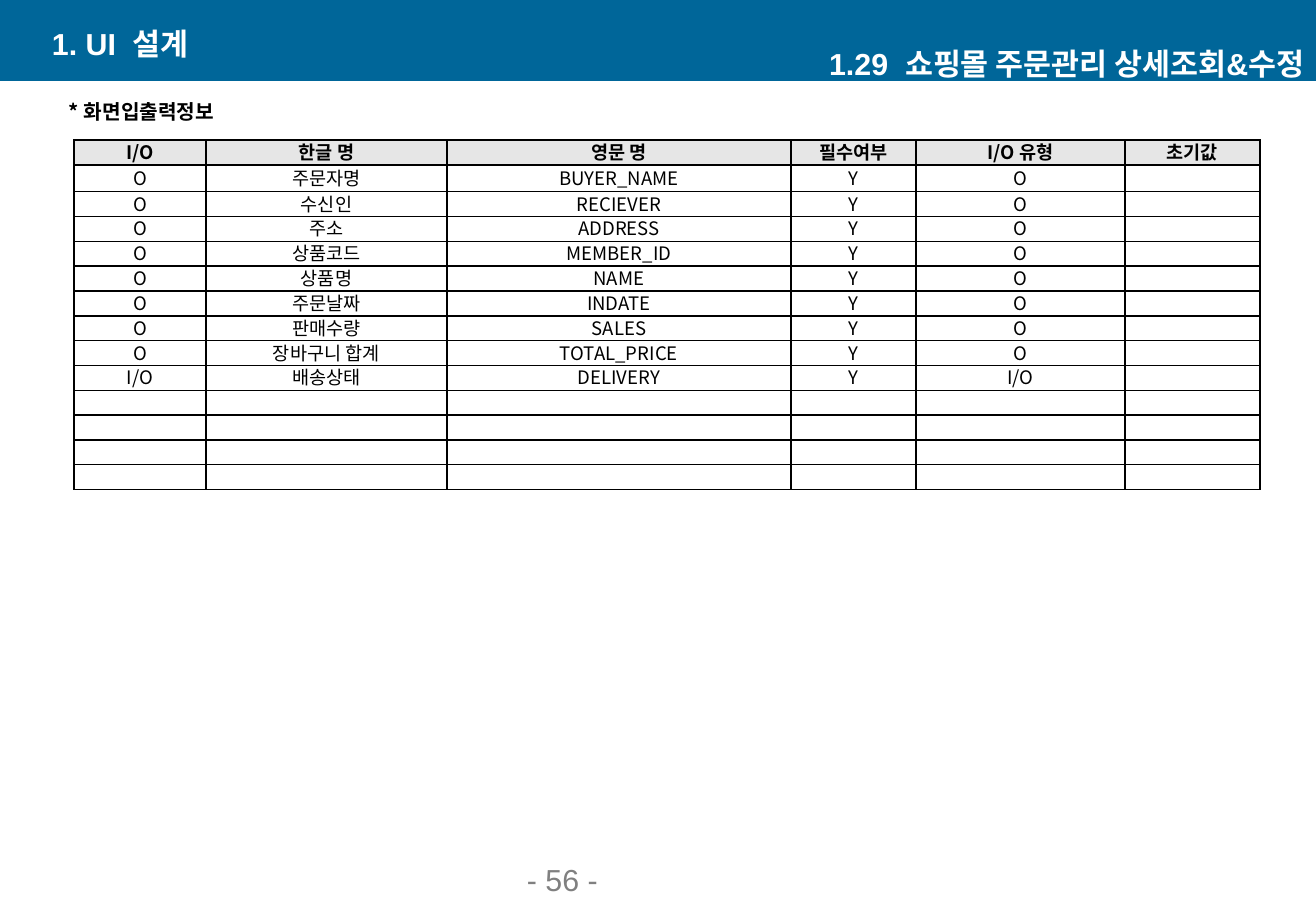
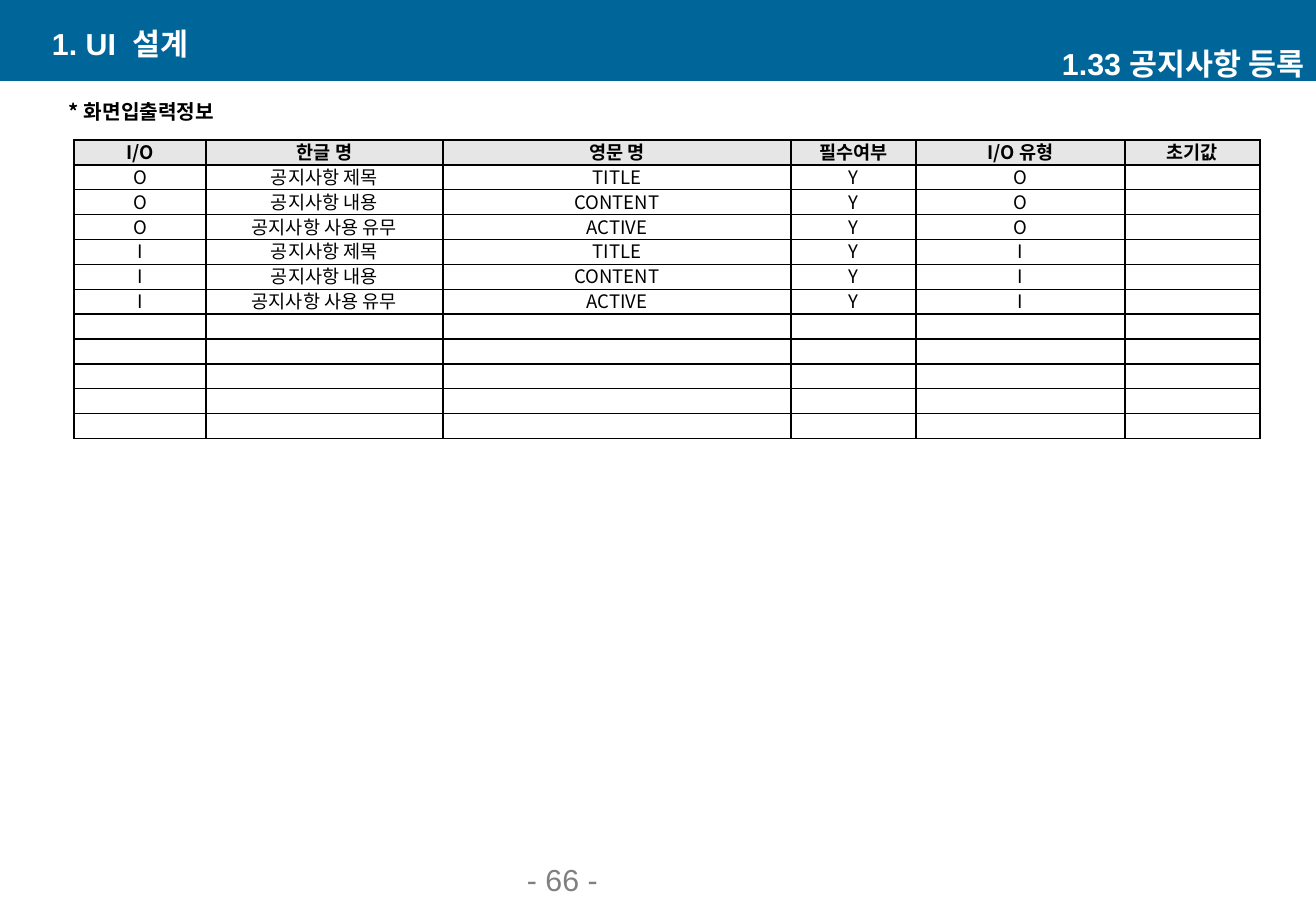
import pptx
import pptx.dml.color
import pptx.enum.shapes
import pptx.enum.text
import pptx.oxml
import pptx.oxml.ns
import pptx.util
from lxml import etree

RGBColor = pptx.dml.color.RGBColor
ALIGN = pptx.enum.text.PP_ALIGN
ANCHOR = pptx.enum.text.MSO_ANCHOR
qn = pptx.oxml.ns.qn

# Shared style
PX = 914400 / 121.5
W, H = 1316, 911
BLUE = RGBColor(0x00, 0x66, 0x99)
WHITE = RGBColor(0xFF, 0xFF, 0xFF)
BLACK = RGBColor(0x00, 0x00, 0x00)
GRAY = RGBColor(0x80, 0x80, 0x80)
HEAD_FILL = RGBColor(0xE6, 0xE6, 0xE6)
LATIN, KOREAN = "Arial", "Noto Sans CJK KR"

TITLE = {"size": pptx.util.Pt(18), "name": LATIN, "bold": True}
FOOTER = {"size": pptx.util.Pt(18), "name": LATIN, "bold": False}
LABEL = {"size": pptx.util.Pt(12), "name": KOREAN, "bold": True}
HEAD = {"size": pptx.util.Pt(11), "name": KOREAN, "bold": True}
BODY = {"size": pptx.util.Pt(11), "name": KOREAN, "bold": False}

HEADINGS = ["I/O", "한글 명", "영문 명", "필수여부", "I/O 유형", "초기값"]


def px(n):
    return pptx.util.Emu(round(n * PX))


class Deck:
    def __init__(self):
        self.prs = pptx.Presentation()
        self.prs.slide_width, self.prs.slide_height = px(W), px(H)
        self.s = None

    def new_slide(self):
        self.s = self.prs.slides.add_slide(self.prs.slide_layouts[6])

    def run(self, p, text, fmt, color, align):
        p.alignment = align
        r = p.add_run()
        r.text = text
        for key, value in fmt.items():
            setattr(r.font, key, value)
        r.font.color.rgb = color
        etree.SubElement(r.font._element, qn("a:ea"), typeface=KOREAN)

    def band(self, height):
        sp = self.s.shapes.add_shape(
            pptx.enum.shapes.MSO_SHAPE.RECTANGLE, 0, 0, px(W), px(height))
        sp.shadow.inherit = False
        sp.fill.solid()
        sp.fill.fore_color.rgb = BLUE
        sp.line.fill.background()

    def text(self, x, y, w, h, text, fmt, color, align=ALIGN.LEFT, anchor=ANCHOR.MIDDLE):
        tf = self.s.shapes.add_textbox(px(x), px(y), px(w), px(h)).text_frame
        tf.word_wrap = True
        tf.vertical_anchor = anchor
        self.run(tf.paragraphs[0], text, fmt, color, align)

    def borders(self, cell):
        tc_pr = cell._tc.get_or_add_tcPr()
        for side in "LRTB":
            ln = etree.SubElement(tc_pr, qn("a:ln" + side), w=str(pptx.util.Pt(1)))
            fill = etree.SubElement(ln, qn("a:solidFill"))
            etree.SubElement(fill, qn("a:srgbClr"), val=str(BLACK))

    def cell(self, cell, text, head):
        self.borders(cell)
        if head:
            cell.fill.solid()
            cell.fill.fore_color.rgb = HEAD_FILL
        else:
            cell.fill.background()
        cell.vertical_anchor = ANCHOR.MIDDLE
        cell.margin_left = cell.margin_right = px(9 if head else 1)
        cell.margin_top, cell.margin_bottom = px(0 if head else 1), 0
        p = cell.text_frame.paragraphs[0]
        if text:
            p.line_spacing = pptx.util.Pt(14)
            self.run(p, text, HEAD if head else BODY, BLACK, ALIGN.CENTER)
        else:
            # A small end mark keeps an empty row from growing
            etree.SubElement(p._p, qn("a:endParaRPr"), sz="800")

    def table(self, x, y, widths, height, count, rows, extra):
        """Rows share the height evenly; the first body row gets the extra."""
        frame = self.s.shapes.add_table(
            count, len(widths), px(x), px(y), px(sum(widths)), px(height))
        tbl = frame.table
        tbl.first_row = tbl.horz_banding = False
        for col, width in zip(tbl.columns, widths):
            col.width = px(width)
        for i, row in enumerate(tbl.rows):
            row.height = px((height - extra) / count + (extra if i == 1 else 0))
            values = ([HEADINGS] + rows)[i] if i <= len(rows) else []
            for j, cell in enumerate(row.cells):
                self.cell(cell, values[j] if j < len(values) else "", i == 0)

    def page(self, title, number, widths, height, count, fields, extra=0):
        self.new_slide()
        self.band(81)
        self.text(515, 866, 275, 38, f"- {number} -", FOOTER, GRAY, anchor=ANCHOR.BOTTOM)
        # Each field repeats its direction as its I/O type
        rows = [[way, korean, english, "Y", way] for way, korean, english in fields]
        self.table(74, 140, widths, height, count, rows, extra)
        self.text(57, 94, 185, 35, "* 화면입출력정보", LABEL, BLACK)
        self.text(40, 23, 532, 40, "1. UI  설계", TITLE, WHITE)
        self.text(784, 43, 532, 40, title, TITLE, WHITE, ALIGN.RIGHT)


def main():
    deck = Deck()

    # Order detail
    deck.page("1.29  쇼핑몰 주문관리 상세조회&수정", 56,
              [132, 241, 344, 125, 209, 135], 350, 14, [
                  ("O", "주문자명", "BUYER_NAME"),
                  ("O", "수신인", "RECIEVER"),
                  ("O", "주소", "ADDRESS"),
                  ("O", "상품코드", "MEMBER_ID"),
                  ("O", "상품명", "NAME"),
                  ("O", "주문날짜", "INDATE"),
                  ("O", "판매수량", "SALES"),
                  ("O", "장바구니 합계", "TOTAL_PRICE"),
                  ("I/O", "배송상태", "DELIVERY"),
              ], extra=2)

    # Notice entry: the same fields are shown, then entered
    notice = [("공지사항 제목", "TITLE"), ("공지사항 내용", "CONTENT"),
              ("공지사항 사용 유무", "ACTIVE")]
    deck.page("1.33 공지사항 등록", 66, [132, 237, 348, 125, 209, 135], 299, 12,
              [(way, *names) for way in "OI" for names in notice])

    deck.prs.save("out.pptx")


if __name__ == "__main__":
    main()
